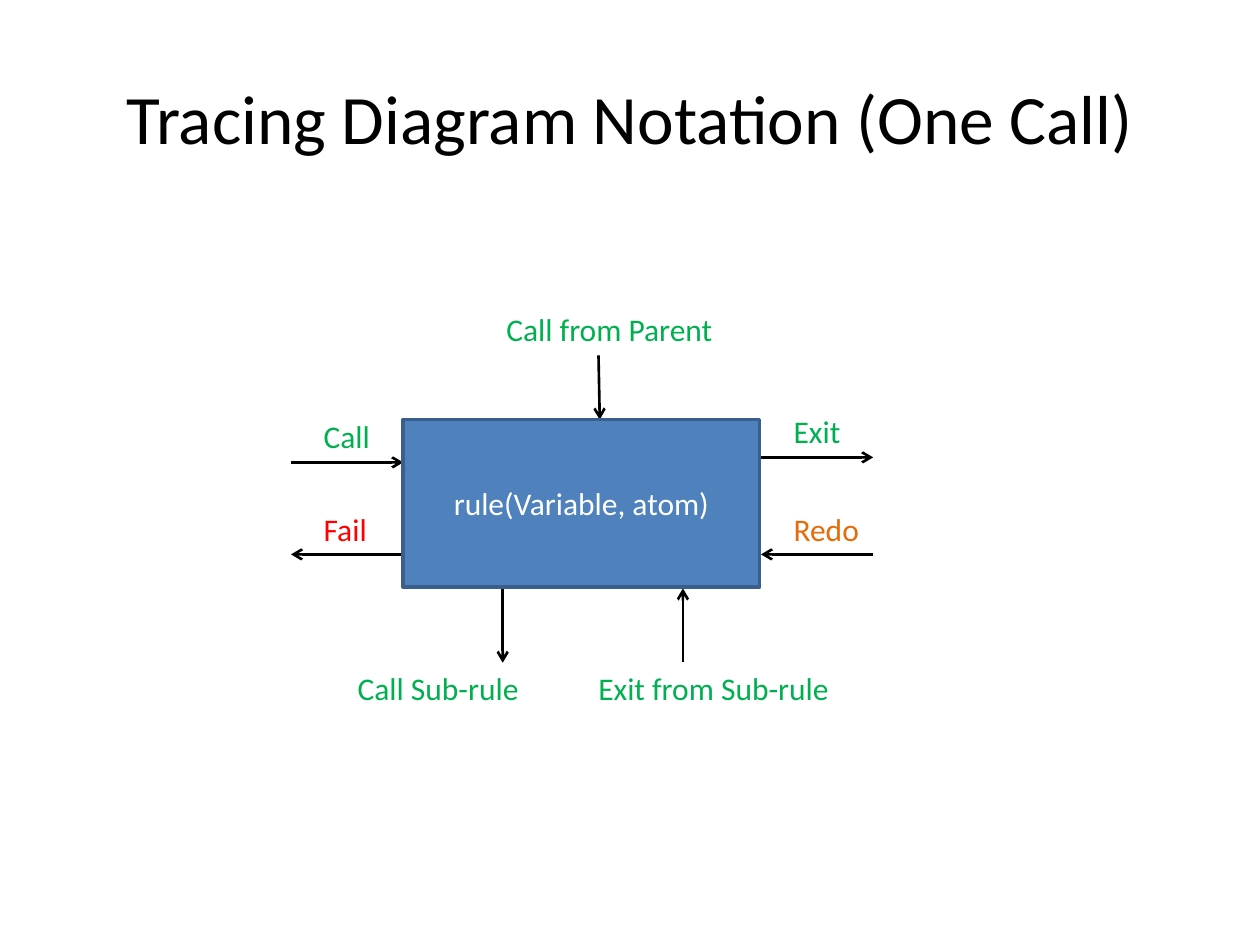
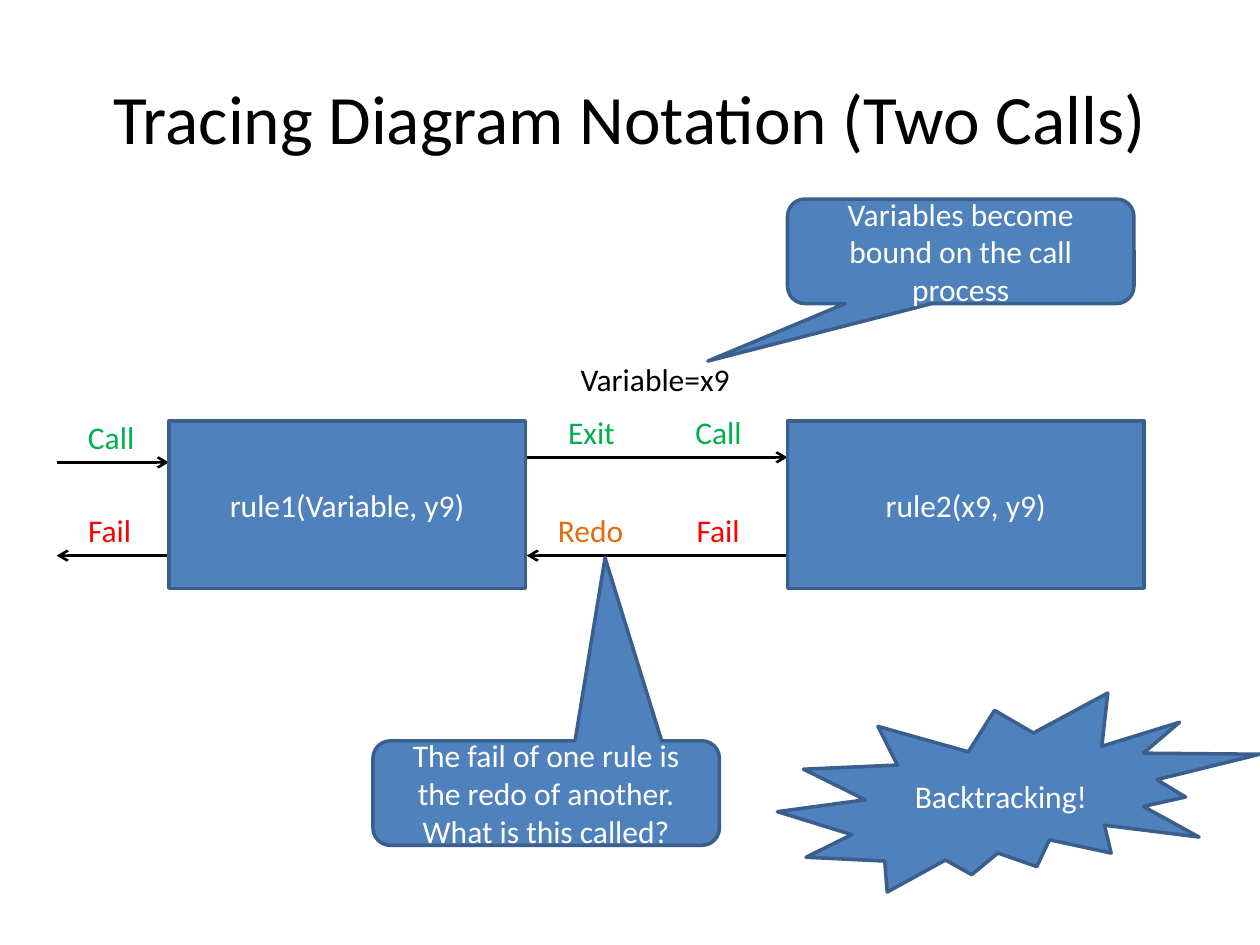
from lxml import etree
from pptx import Presentation
from pptx.dml.color import RGBColor
from pptx.enum.shapes import MSO_CONNECTOR, MSO_SHAPE
from pptx.enum.text import MSO_ANCHOR, MSO_AUTO_SIZE, PP_ALIGN
from pptx.oxml.ns import qn
from pptx.util import Inches, Pt

LINE = MSO_CONNECTOR.STRAIGHT
RECT = MSO_SHAPE.RECTANGLE
CALLOUT = MSO_SHAPE.ROUNDED_RECTANGULAR_CALLOUT
BURST = MSO_SHAPE.EXPLOSION2
MIDDLE = MSO_ANCHOR.MIDDLE
FIT = MSO_AUTO_SIZE.SHAPE_TO_FIT_TEXT
CENTER, LEFT = PP_ALIGN.CENTER, PP_ALIGN.LEFT

FONT = "Calibri"
COLORS = {
    "text": "000000",
    "light": "FFFFFF",
    "box": "4F81BD",
    "edge": "3A5F8C",
    "go": "00B050",
    "fail": "FF0000",
    "redo": "E46C0A",
}
BOX_W, BOX_H = 2.83, 1.33
NOTE_W, NOTE_H = 2.75, 0.83
LABEL_H = 0.4


def color(name):
    return RGBColor.from_string(COLORS[name])


def write(sp, text, size, name, align):
    p = sp.text_frame.paragraphs[0]
    p.text = text
    p.alignment = align
    p.font.size = Pt(size)
    p.font.name = FONT
    p.font.color.rgb = color(name)


slides = [
    {
        "title": "Tracing Diagram Notation (One Call)",
        "boxes": [("rule(Variable, atom)", 3.2, 3.33)],
        "arrows": [
            (2.31, 3.67, 3.2, 3.67),
            (4.75, 2.82, 4.76, 3.33),
            (6.04, 3.63, 6.93, 3.63),
            (3.2, 4.4, 2.31, 4.4),
            (6.93, 4.4, 6.04, 4.4),
            (5.42, 5.25, 5.42, 4.67),
            (3.99, 4.67, 3.99, 5.26),
        ],
        "labels": [
            ("Call", 2.47, 3.26, 0.57, "go"),
            ("Call from Parent", 3.92, 2.41, 1.86, "go"),
            ("Exit", 6.2, 3.22, 0.58, "go"),
            ("Fail", 2.47, 4, 0.55, "fail"),
            ("Redo", 6.2, 4, 0.73, "redo"),
            ("Exit from Sub-rule", 4.65, 5.26, 2.05, "go"),
            ("Call Sub-rule", 2.74, 5.26, 1.5, "go"),
        ],
        "notes": [],
    },
    {
        "title": "Tracing Diagram Notation (Two Calls)",
        "boxes": [("rule1(Variable, y9)", 1.34, 3.34), ("rule2(x9, y9)", 6.25, 3.34)],
        "arrows": [
            (0.45, 3.67, 1.34, 3.67),
            (4.18, 3.63, 6.25, 3.63),
            (1.34, 4.41, 0.45, 4.41),
            (6.25, 4.41, 4.18, 4.41),
        ],
        "labels": [
            ("Call", 0.6, 3.27, 0.57, "go"),
            ("Fail", 0.6, 4.01, 0.55, "fail"),
            ("Redo", 4.33, 4.01, 0.73, "redo"),
            ("Exit", 4.41, 3.23, 0.58, "go"),
            ("Call", 5.42, 3.23, 0.57, "go"),
            ("Fail", 5.43, 4.01, 0.55, "fail"),
            ("Variable=x9", 4.51, 2.81, 1.4, "text"),
        ],
        "notes": [
            (CALLOUT, "Variables become bound on the call process",
             6.25, 1.58, NOTE_W, NOTE_H, (-0.73, 1.05)),
            (CALLOUT, "The fail of one rule is the redo of another. What is this called?",
             2.96, 5.88, NOTE_W, NOTE_H, (0.17, -2.25)),
            (BURST, "Backtracking!", 6.17, 5.5, 3.83, 1.58, ()),
        ],
    },
]

prs = Presentation()
prs.slide_width, prs.slide_height = Inches(10), Inches(7.5)

for content in slides:
    s = prs.slides.add_slide(prs.slide_layouts[6])

    title = s.shapes.add_textbox(Inches(0.5), Inches(0.3), Inches(9), Inches(1.25))
    title.text_frame.word_wrap = True
    title.text_frame.vertical_anchor = MIDDLE
    write(title, content["title"], 39.6, "text", CENTER)

    for x1, y1, x2, y2 in content["arrows"]:
        arrow = s.shapes.add_connector(LINE, Inches(x1), Inches(y1), Inches(x2), Inches(y2))
        arrow.line.color.rgb = color("text")
        arrow.line.width = Pt(1.5)
        etree.SubElement(arrow.line._get_or_add_ln(), qn("a:tailEnd"), type="arrow")
        etree.SubElement(arrow._element.spPr, qn("a:effectLst"))

    for text, x, y, w, name in content["labels"]:
        label = s.shapes.add_textbox(Inches(x), Inches(y), Inches(w), Inches(LABEL_H))
        label.text_frame.word_wrap = False
        label.text_frame.auto_size = FIT
        write(label, text, 18, name, LEFT)

    boxes = [(RECT, text, x, y, BOX_W, BOX_H, ()) for text, x, y in content["boxes"]]
    for kind, text, x, y, w, h, tip in boxes + content["notes"]:
        sp = s.shapes.add_shape(kind, Inches(x), Inches(y), Inches(w), Inches(h))
        for i, value in enumerate(tip):
            sp.adjustments[i] = value
        sp.shadow.inherit = False
        sp.fill.solid()
        sp.fill.fore_color.rgb = color("box")
        sp.line.color.rgb = color("edge")
        sp.line.width = Pt(2)
        sp.text_frame.word_wrap = True
        sp.text_frame.vertical_anchor = MIDDLE
        write(sp, text, 18, "light", CENTER)

prs.save("out.pptx")
